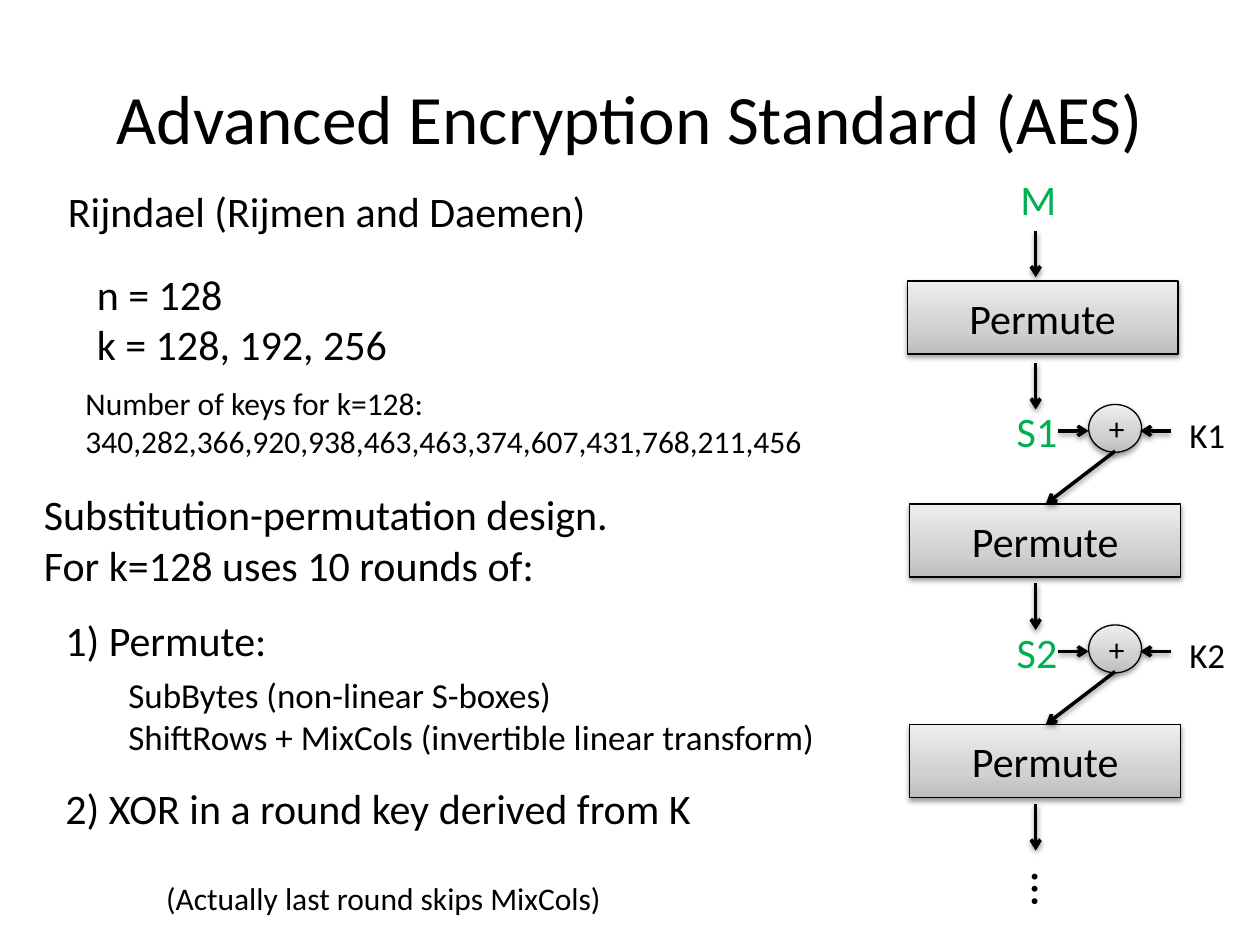
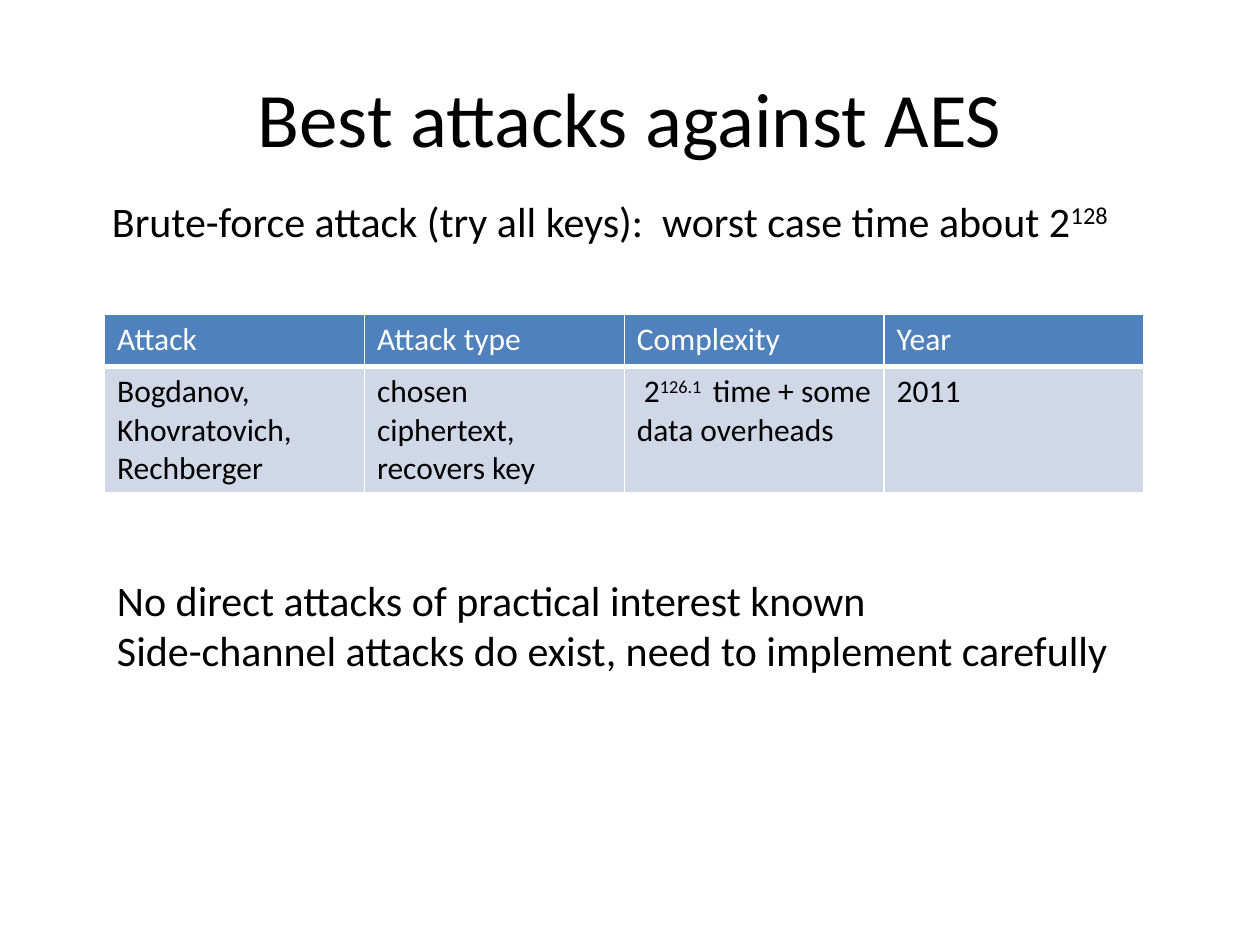
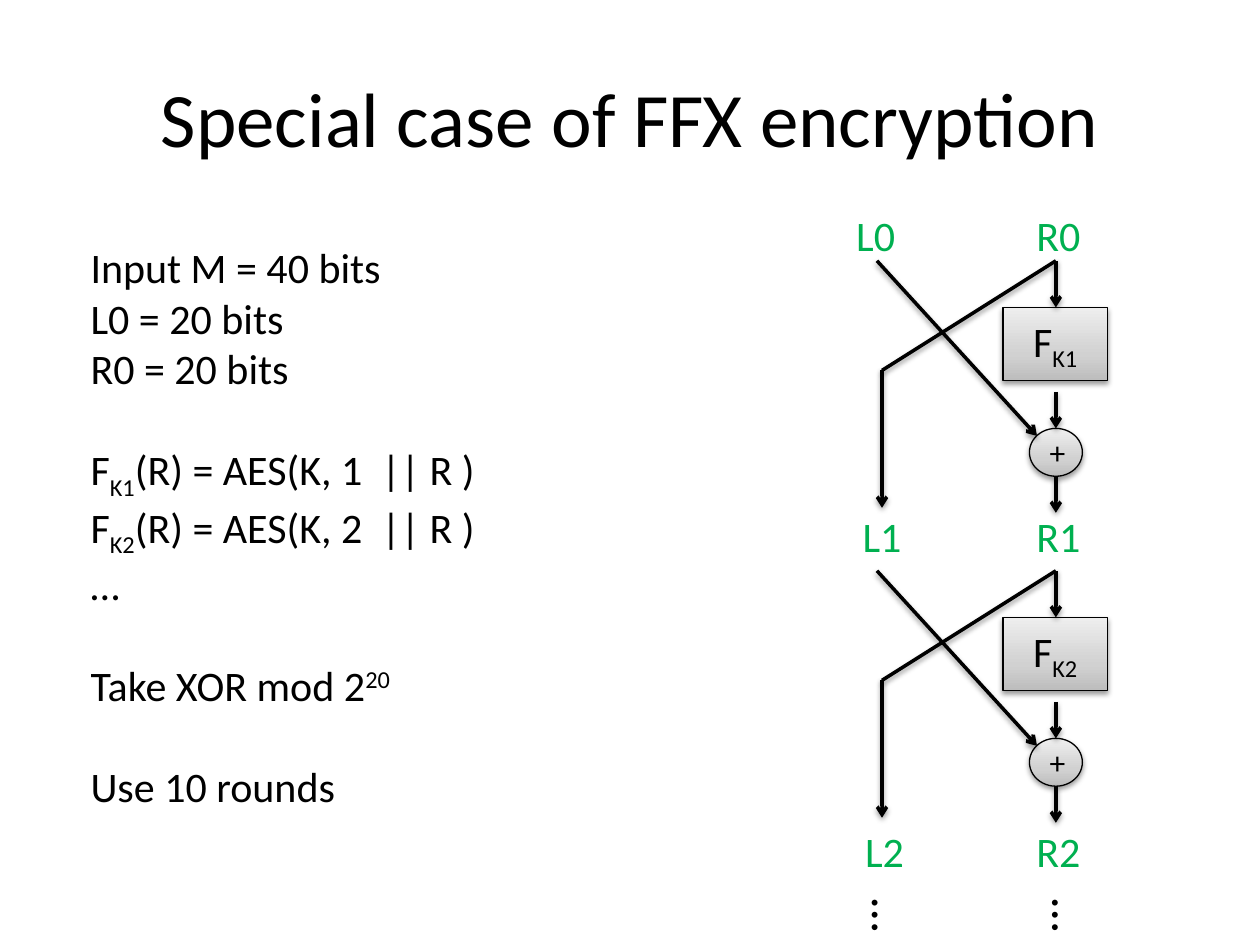
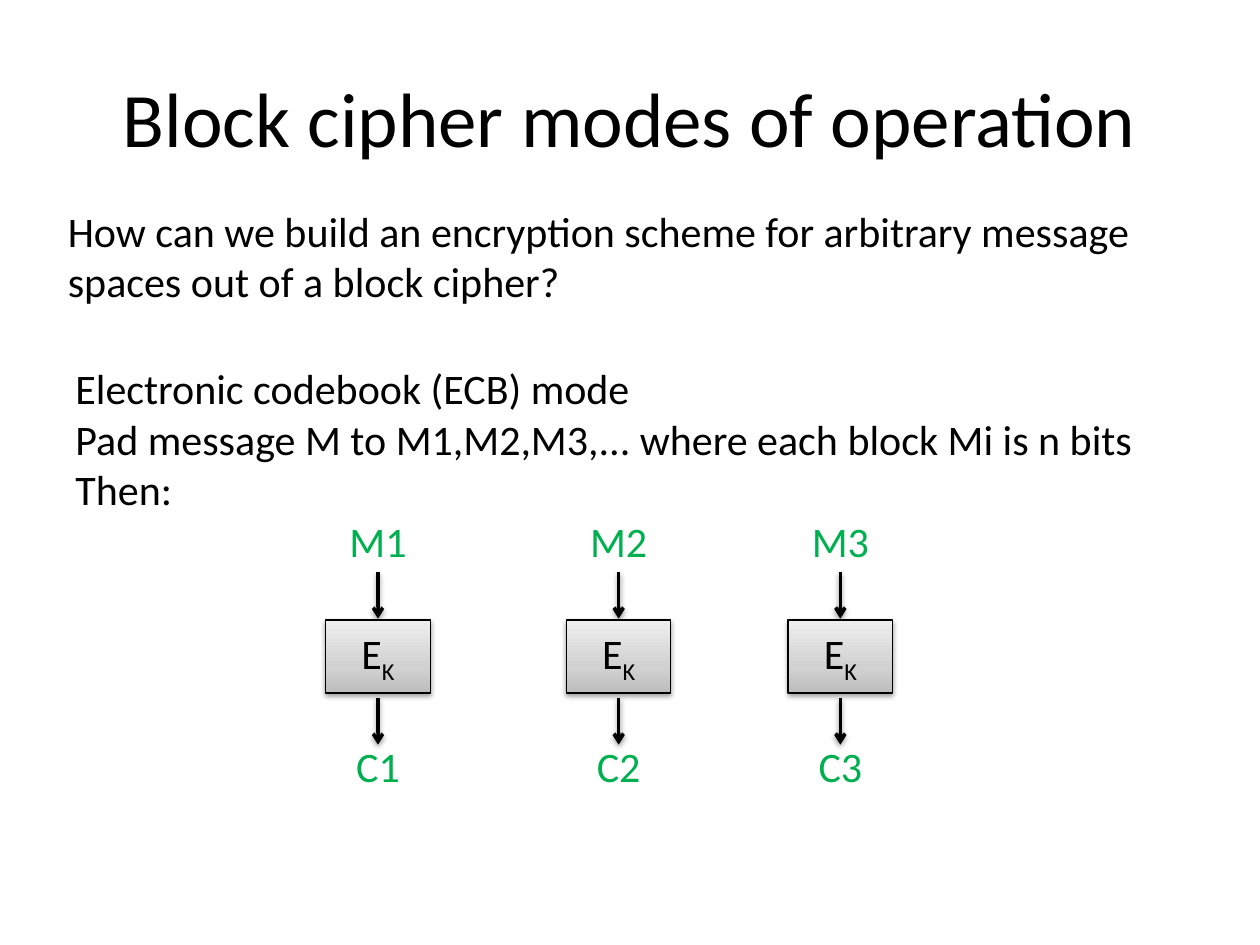
from dataclasses import dataclass
from typing import NamedTuple

from lxml import etree
from pptx import Presentation
from pptx.dml.color import RGBColor
from pptx.enum import shapes, text
from pptx.oxml.ns import qn
from pptx.util import Inches, Pt

# ---- Shared look ----
FONT = "Calibri"
COLORS = {
    "ink": "000000",
    "block": "00B050",
    "paper": "FFFFFF",
    "header": "4F81BD",
    "row": "D0D8E8",
}
GREY_STOPS = ((0, "BDBDBD"), (35, "D1D1D1"), (100, "EEEEEE"))
SUPER, SUB = 30, -25
TITLE_ONLY = 5
BOX_HEIGHT = 0.58


class Run(NamedTuple):
    text: str
    baseline: int = 0


class Point(NamedTuple):
    x: float
    y: float


@dataclass
class Line:
    """One paragraph; gap is in points, indent in inches."""
    runs: tuple[Run, ...]
    size: float = 24
    gap: float = 0
    indent: float = 0


@dataclass
class Note:
    """A text box that does not wrap."""
    x: float
    y: float
    width: float
    height: float
    lines: list[Line]
    color: str = "ink"
    centered: bool = False
    rotation: float = 0


@dataclass
class Node:
    """A grey shape with a centred caption."""
    x: float
    y: float
    width: float
    height: float
    caption: Line
    kind: shapes.MSO_SHAPE = shapes.MSO_SHAPE.RECTANGLE


def rgb(name: str) -> RGBColor:
    return RGBColor.from_string(COLORS[name])


def plain(words: str, size: float = 24, gap: float = 0, indent: float = 0) -> Line:
    return Line((Run(words),), size, gap, indent)


# ---- Text ----
def write(frame, lines: list[Line], color: str = "ink", centered: bool = False) -> None:
    for number, line in enumerate(lines):
        paragraph = frame.paragraphs[0] if number == 0 else frame.add_paragraph()
        paragraph.alignment = text.PP_ALIGN.CENTER if centered else text.PP_ALIGN.LEFT
        if line.gap:
            paragraph.space_before = Pt(line.gap)
        if line.indent:
            paragraph._p.get_or_add_pPr().set("marL", str(Inches(line.indent)))
        for part in line.runs:
            run = paragraph.add_run()
            run.text = part.text
            run.font.name = FONT
            run.font.size = Pt(line.size)
            run.font.bold = False
            run.font.color.rgb = rgb(color)
            if part.baseline:
                run._r.get_or_add_rPr().set("baseline", str(part.baseline * 1000))


def add_note(slide, note: Note) -> None:
    box = slide.shapes.add_textbox(
        Inches(note.x), Inches(note.y), Inches(note.width), Inches(note.height))
    box.rotation = note.rotation
    box.text_frame.word_wrap = False
    box.text_frame.auto_size = text.MSO_AUTO_SIZE.SHAPE_TO_FIT_TEXT
    write(box.text_frame, note.lines, note.color, note.centered)


def add_label(slide, words: str, center: float, top: float, width: float = 0.66) -> None:
    """A green block name, centred on a column."""
    add_note(slide, Note(center - width / 2, top, width, 0.5, [plain(words)], "block", True))


def add_dots(slide, left: float, top: float) -> None:
    add_note(slide, Note(left, top, 0.47, 0.57, [plain("…", 28)], rotation=90))


def add_titled_slide(deck, words: str, size: float = 44):
    slide = deck.slides.add_slide(deck.slide_layouts[TITLE_ONLY])
    title = slide.shapes.title
    title.left, title.top = Inches(0.5), Inches(0.3)
    title.width, title.height = Inches(9), Inches(1.25)
    title.text_frame.vertical_anchor = text.MSO_ANCHOR.MIDDLE
    write(title.text_frame, [plain(words, size)], centered=True)
    return slide


# ---- Shapes and arrows ----
def add_shadow(properties) -> None:
    effects = properties.find(qn("a:effectLst"))
    if effects is None:
        effects = etree.SubElement(properties, qn("a:effectLst"))
    shadow = etree.SubElement(
        effects, qn("a:outerShdw"), blurRad=str(Pt(3.1)), dist=str(Pt(1.6)),
        dir="5400000", rotWithShape="0")
    tint = etree.SubElement(shadow, qn("a:srgbClr"), val=COLORS["ink"])
    etree.SubElement(tint, qn("a:alpha"), val="38000")


def add_node(slide, node: Node) -> None:
    shape = slide.shapes.add_shape(
        node.kind, Inches(node.x), Inches(node.y), Inches(node.width), Inches(node.height))
    shape.fill.gradient()
    shape.fill.gradient_angle = 90
    properties = shape._element.spPr
    stops = properties.find(".//" + qn("a:gsLst"))
    stops.clear()
    for position, color in GREY_STOPS:
        stop = etree.SubElement(stops, qn("a:gs"), pos=str(position * 1000))
        etree.SubElement(stop, qn("a:srgbClr"), val=color)
    shape.line.color.rgb = rgb("ink")
    shape.line.width = Pt(0.75)
    shape.shadow.inherit = False
    add_shadow(properties)
    shape.text_frame.vertical_anchor = text.MSO_ANCHOR.MIDDLE
    write(shape.text_frame, [node.caption], centered=True)


def add_xor(slide, left: float, top: float) -> None:
    add_node(slide, Node(left, top, 0.42, 0.38, plain("+", 18), shapes.MSO_SHAPE.OVAL))


def add_line(slide, start: Point, end: Point, arrow: bool = True) -> None:
    line = slide.shapes.add_connector(
        shapes.MSO_CONNECTOR.STRAIGHT,
        Inches(start.x), Inches(start.y), Inches(end.x), Inches(end.y))
    line.line.color.rgb = rgb("ink")
    line.line.width = Pt(2)
    properties = line._element.spPr
    if arrow:
        etree.SubElement(properties.find(qn("a:ln")), qn("a:tailEnd"), type="arrow")
    add_shadow(properties)


def add_drop(slide, x: float, top: float, length: float = 0.37) -> None:
    add_line(slide, Point(x, top), Point(x, top + length))


# ---- Table ----
def add_borders(cell, bottom: float) -> None:
    properties = cell._tc.get_or_add_tcPr()
    for place, (side, width) in enumerate(
            (("lnL", 1), ("lnR", 1), ("lnT", 1), ("lnB", bottom))):
        edge = etree.Element(qn(f"a:{side}"), w=str(Pt(width)))
        fill = etree.SubElement(edge, qn("a:solidFill"))
        etree.SubElement(fill, qn("a:srgbClr"), val=COLORS["paper"])
        properties.insert(place, edge)


def add_attack_table(slide, rows: list[list[Line]]) -> None:
    table = slide.shapes.add_table(
        len(rows), len(rows[0]), Inches(0.83), Inches(2.49), Inches(8.25), Inches(1.42)).table
    for row, height in zip(table.rows, (0.42, 1)):
        row.height = Inches(height)
    for number, row in enumerate(rows):
        is_header = number == 0
        for column, line in enumerate(row):
            cell = table.cell(number, column)
            cell.fill.solid()
            cell.fill.fore_color.rgb = rgb("header" if is_header else "row")
            add_borders(cell, 3 if is_header else 1)
            write(cell.text_frame, [line], "paper" if is_header else "ink")


# ---- Slide 1: AES ----
def build_aes(deck) -> None:
    slide = add_titled_slide(deck, "Advanced Encryption Standard (AES)", 39.6)
    for note in (
        Note(0.44, 1.42, 4.35, 0.5, [plain("Rijndael (Rijmen and Daemen)")]),
        Note(0.67, 2.08, 2.53, 0.91, [plain("n = 128"), plain("k = 128, 192, 256")]),
        Note(0.58, 3, 5.95, 0.71, [
            plain("Number of keys for k=128:", 18),
            plain("340,282,366,920,938,463,463,374,607,431,768,211,456", 18)]),
        Note(0.25, 3.83, 4.74, 0.91, [
            plain("Substitution-permutation design."),
            plain("For k=128 uses 10 rounds of:")]),
        Note(0.42, 4.83, 6.22, 1.25, [
            plain("1) Permute:"),
            plain("SubBytes (non-linear S-boxes)", 20, gap=5, indent=0.5),
            plain("ShiftRows + MixCols (invertible linear transform)", 20, indent=0.5)]),
        Note(0.42, 6.16, 5.25, 0.5, [plain("2) XOR in a round key derived from K")]),
        Note(1.22, 6.93, 3.7, 0.4, [plain("(Actually last round skips MixCols)", 18)]),
    ):
        add_note(slide, note)

    # Chain of permutations, with a round key mixed in after each
    flow, pitch = 8.22, 1.75
    add_label(slide, "M", 8.24, 1.33, 0.49)
    add_drop(slide, flow, 1.83)
    for left, top in ((7.2, 2.23), (7.22, 4), (7.22, 4 + pitch)):
        add_node(slide, Node(left, top, 2.15, BOX_HEIGHT, plain("Permute")))
    for step in range(3):
        add_drop(slide, flow, 2.88 + step * pitch)
    for step in range(2):
        shift = step * pitch
        mix = 3.42 + shift
        add_label(slide, f"S{step + 1}", 8.23, 3.17 + shift, 0.68)
        add_xor(slide, 8.64, 3.21 + shift)
        add_line(slide, Point(8.4, mix), Point(8.64, mix))
        add_line(slide, Point(9.29, mix), Point(9.05, mix))
        add_line(slide, Point(8.85, 3.58 + shift), Point(8.3, 4 + shift))
        add_note(slide, Note(9.34, 3.23 + shift, 0.49, 0.44, [plain(f"K{step + 1}", 20)]))
    add_dots(slide, 8.11, 6.78)


# ---- Slide 2: attacks ----
def build_attacks(deck) -> None:
    slide = add_titled_slide(deck, "Best attacks against AES")
    add_note(slide, Note(0.79, 1.5, 8.21, 0.5, [Line((
        Run("Brute-force attack (try all keys):  worst case time about 2"),
        Run("128", SUPER)))]))
    complexity = Line(
        (Run(" 2"), Run("126.1 ", SUPER), Run(" time + some data overheads")), 18)
    add_attack_table(slide, [
        [plain(name, 18) for name in ("Attack", "Attack type", "Complexity", "Year")],
        [plain("Bogdanov, Khovratovich, Rechberger", 18),
         plain("chosen ciphertext, recovers key", 18),
         complexity,
         plain("2011", 18)],
    ])
    add_note(slide, Note(0.83, 4.51, 8.18, 0.91, [
        plain("No direct attacks of practical interest known"),
        plain("Side-channel attacks do exist, need to implement carefully")]))


# ---- Slide 3: FFX ----
def build_ffx(deck) -> None:
    slide = add_titled_slide(deck, "Special case of FFX encryption")
    functions = [
        Line((Run("F"), Run(f"K{key}", SUB), Run(f"(R) = AES(K, {key}  || R )")),
             gap=29 if key == 1 else 0)
        for key in (1, 2)]
    add_note(slide, Note(0.62, 1.87, 3.31, 4.54, [
        plain("Input M = 40 bits"),
        plain("L0 = 20 bits"),
        plain("R0 = 20 bits"),
        *functions,
        plain("…"),
        Line((Run("Take XOR mod 2"), Run("20", SUPER)), gap=29),
        plain("Use 10 rounds", gap=29)]))

    # Feistel rounds: halves swap, the right one passes through F
    left, right, pitch = 7, 8.38, 2.46
    for step, (left_center, top) in enumerate(((6.95, 1.61), (left, 4), (7.02, 6.5))):
        add_label(slide, f"L{step}", left_center, top)
        add_label(slide, f"R{step}", 8.4, top)
    for step in range(2):
        top = 2.07 + step * pitch
        bend = Point(left, top + 0.87)
        caption = Line((Run("F"), Run(f"K{step + 1}", SUB)))
        add_node(slide, Node(7.96, top + 0.37, 0.83, BOX_HEIGHT, caption))
        add_xor(slide, 8.17, top + 1.33)
        add_drop(slide, right, top)
        add_drop(slide, right, top + 1.04, 0.29)
        add_drop(slide, right, top + 1.71, 0.29)
        add_line(slide, Point(6.96, top), Point(8.23, top + 1.39))
        add_line(slide, Point(right, top), bend, arrow=False)
        add_drop(slide, bend.x, bend.y, 1.09)
    for dots_left in (6.84, 8.27):
        add_dots(slide, dots_left, 6.98)


# ---- Slide 4: ECB ----
def build_modes(deck) -> None:
    slide = add_titled_slide(deck, "Block cipher modes of operation")
    add_note(slide, Note(0.44, 1.58, 8.73, 0.91, [
        plain("How can we build an encryption scheme for arbitrary message"),
        plain("spaces out of a block cipher?")]))
    add_note(slide, Note(0.5, 2.83, 8.69, 1.31, [
        plain("Electronic codebook (ECB) mode"),
        plain("Pad message M to M1,M2,M3,... where each block Mi is n bits"),
        plain("Then:")]))
    for number, center in enumerate((3, 4.91, 6.67), start=1):
        add_label(slide, f"M{number}", center, 4.04)
        add_drop(slide, center, 4.54)
        add_node(slide, Node(center - 0.415, 4.92, 0.83, BOX_HEIGHT,
                             Line((Run("E"), Run("K", SUB)))))
        add_drop(slide, center, 5.54)
        add_label(slide, f"C{number}", center, 5.83, 0.55)


def main() -> None:
    deck = Presentation()
    deck.slide_width, deck.slide_height = Inches(10), Inches(7.5)
    for build in (build_aes, build_attacks, build_ffx, build_modes):
        build(deck)
    deck.save("out.pptx")


main()
